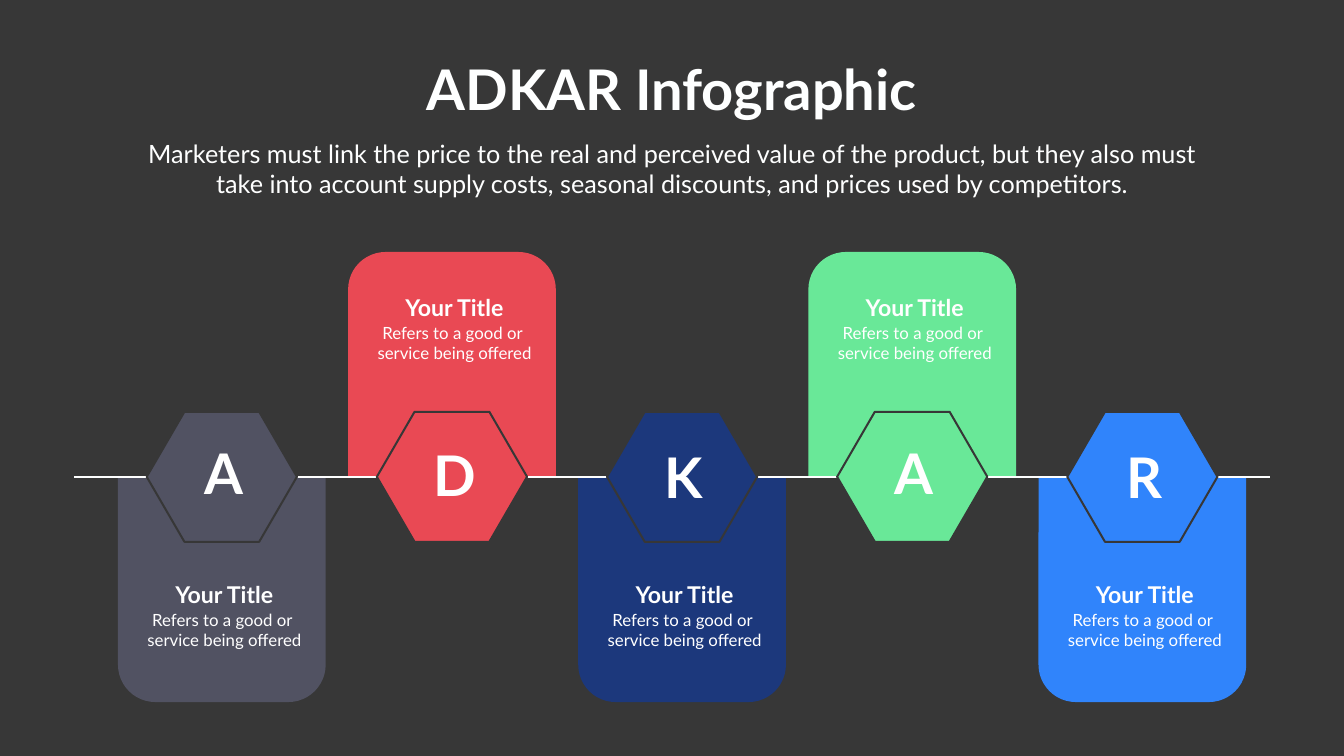
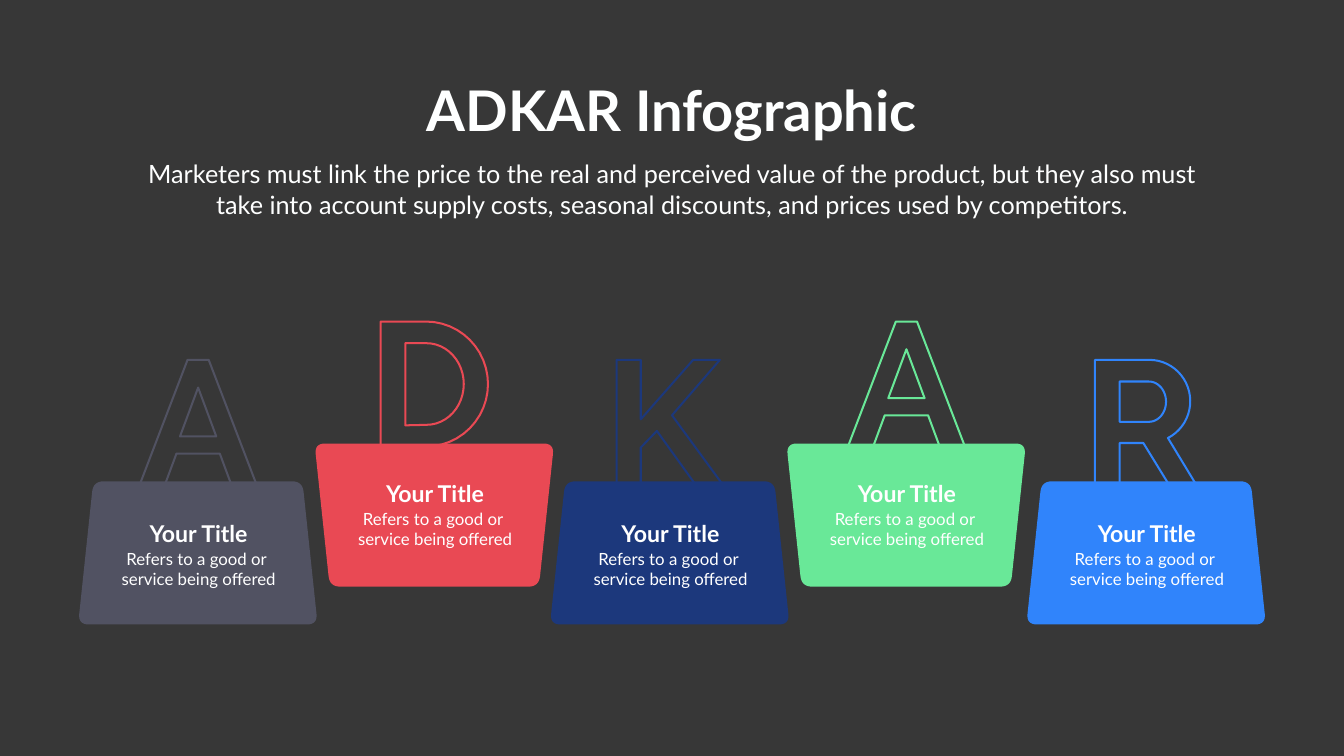
import math
import pptx
import pptx.dml.color
import pptx.enum.shapes
import pptx.enum.text
import pptx.oxml
import pptx.oxml.ns
import pptx.util

Inches = pptx.util.Inches
Pt = pptx.util.Pt
RGBColor = pptx.dml.color.RGBColor
Shape = pptx.enum.shapes.MSO_SHAPE

# Shared look
DARK = RGBColor(0x37, 0x37, 0x37)
PALE = RGBColor(0xFE, 0xFF, 0xFF)
WHITE = RGBColor(0xFF, 0xFF, 0xFF)
GREY = RGBColor(0x51, 0x52, 0x62)
RED = RGBColor(0xE9, 0x49, 0x54)
NAVY = RGBColor(0x1C, 0x38, 0x7C)
GREEN = RGBColor(0x69, 0xE8, 0x98)
BLUE = RGBColor(0x30, 0x84, 0xFB)
HUES = [GREY, RED, NAVY, GREEN, BLUE]
WORD = "ADKAR"
FONT = "Lato"
STROKE = Pt(2.89)
INTRO = ("Marketers must link the price to the real and perceived value of the "
         "product, but they also must take into account supply costs, seasonal "
         "discounts, and prices used by competitors.")


def write(slide, text, left, top, width, height, size, hue=WHITE, bold=False, wrap=True):
    box = slide.shapes.add_textbox(Inches(left), Inches(top), Inches(width), Inches(height))
    frame = box.text_frame
    frame.text = text
    frame.word_wrap = wrap
    frame.auto_size = pptx.enum.text.MSO_AUTO_SIZE.SHAPE_TO_FIT_TEXT
    for para in frame.paragraphs:
        para.alignment = pptx.enum.text.PP_ALIGN.CENTER
        for run in para.runs:
            run.font.name = FONT
            run.font.size = Pt(size)
            run.font.bold = bold
            run.font.color.rgb = hue


def trace(slide, steps, left, top):
    """A step is a corner (x, y) or a bowl (x, y, x radius, y radius, end angle)."""
    dots = []
    for x, y, *bowl in steps:
        if bowl:
            wide, tall, end = bowl
            for k in range(25):
                turn = math.radians(-90 + (end + 90) * k / 24)
                dots.append((x + wide * math.cos(turn), y + tall * math.sin(turn)))
        else:
            dots.append((x, y))
    dots = [(Inches(left + x), Inches(top + y)) for x, y in dots]
    pen = slide.shapes.build_freeform(*dots[0])
    pen.add_line_segments(dots[1:], close=True)
    shape = pen.convert_to_shape()
    shape.shadow.inherit = False
    return shape


deck = pptx.Presentation()
deck.slide_width = Inches(26.66)
deck.slide_height = Inches(15)
first, second = [deck.slides.add_slide(deck.slide_layouts[6]) for _ in range(2)]

# Slide 1: cards hanging from and standing on the line
STEP = 4.565
for i, hue in enumerate(HUES):
    high = i % 2 == 1
    card = first.shapes.add_shape(
        Shape.ROUND_2_SAME_RECTANGLE, Inches(2.34 + i * STEP),
        Inches(5 if high else 9.47), Inches(4.12), Inches(4.46))
    card.adjustments[0] = 0.18 if high else 0
    card.adjustments[1] = 0 if high else 0.18
    card.shadow.inherit = False
    card.fill.solid()
    card.fill.fore_color.rgb = hue
    card.line.fill.background()

# Slide 1: line
rail = first.shapes.add_connector(
    pptx.enum.shapes.MSO_CONNECTOR.STRAIGHT,
    Inches(1.47), Inches(9.47), Inches(25.19), Inches(9.47))
rail.line.color.rgb = PALE
rail.line.width = STROKE
rail._element.spPr.append(pptx.oxml.parse_xml(
    "<a:effectLst %s/>" % pptx.oxml.ns.nsdecls("a")))

# Slide 1: hexagons
for i, hue in enumerate(HUES):
    hexa = first.shapes.add_shape(
        Shape.HEXAGON, Inches(2.91 + i * STEP), Inches(8.17), Inches(2.98), Inches(2.58))
    hexa.adjustments[0] = 0.29
    hexa.shadow.inherit = False
    hexa.fill.solid()
    hexa.fill.fore_color.rgb = hue
    hexa.line.color.rgb = DARK
    hexa.line.width = STROKE

# Slide 1: letters on the hexagons
TOPS = {"A": 8.66, "D": 8.69, "K": 8.73, "R": 8.73}
for i, sign in enumerate(WORD):
    write(first, sign, 3.94 + i * STEP, TOPS[sign], 1, 1.45, 80, bold=True, wrap=False)

# Slide 2: outlined letters, drawn in inches; A is one half and its mirror
TALL = 2.48
half = [(0.95, 0), (0, TALL), (0.5, TALL), (0.73, 1.86)]
GLYPHS = {
    "A": [half + [(2.32 - x, y) for x, y in reversed(half)],
          [(1.16, 0.55), (0.8, 1.52), (1.52, 1.52)]],
    "D": [[(0, TALL), (0, 0), (0.9, 1.24, 1.23, 1.24, 90)],
          [(0.49, 2.06), (0.49, 0.43), (0.91, 1.24, 0.74, 0.81, 90)]],
    "K": [[(0, TALL), (0, 0), (0.48, 0), (0.48, 1.18), (1.52, 0), (2.05, 0), (1.1, 1.1),
           (2.11, TALL), (1.57, TALL), (0.8, 1.41), (0.48, 1.74), (0.48, TALL)]],
    "R": [[(0, TALL), (0, 0), (1.08, 0.82, 0.81, 0.82, 63), (2.01, TALL), (1.47, TALL),
           (0.96, 1.65), (0.49, 1.65), (0.49, TALL)],
          [(0.49, 1.23), (0.49, 0.43), (1.07, 0.83, 0.34, 0.4, 90)]],
}
for i, left in enumerate([2.77, 7.55, 12.23, 16.82, 21.72]):
    for loop in GLYPHS[WORD[i]]:
        stroke = trace(second, loop, left, 6.38 if i % 2 else 7.14)
        stroke.fill.background()
        stroke.line.color.rgb = HUES[i]
        stroke.line.width = STROKE

# Slide 2: plates with rounded corners, every second one upside down
DEEP = 2.84
ends = [(0, DEEP), (0.3, 0), (4.45, 0), (4.75, DEEP)]
edge = []
for k, spot in enumerate(ends):
    near = []
    for other in (ends[k - 1], ends[(k + 1) % 4]):
        part = 0.21 / math.dist(spot, other)
        near.append([a + (b - a) * part for a, b in zip(spot, other)])
    for n in range(9):
        t = n / 8
        edge.append([(1 - t) ** 2 * a + 2 * t * (1 - t) * b + t * t * c
                     for a, b, c in zip(near[0], spot, near[1])])
LEFTS = [1.55, 6.24, 10.91, 15.6, 20.36]
for i, left in enumerate(LEFTS):
    if i % 2:
        plate = trace(second, [(x, DEEP - y) for x, y in edge], left, 8.8)
    else:
        plate = trace(second, edge, left, 9.55)
    plate.fill.solid()
    plate.fill.fore_color.rgb = HUES[i]
    plate.line.fill.background()

# Both slides: background, heading and captions
hexed = [(3.3 + i * STEP, 5.77 if i % 2 else 11.46) for i in range(5)]
plated = [(left + 1.24, 9.46 if i % 2 else 10.25) for i, left in enumerate(LEFTS)]
for slide, head, spots in [(first, 1.03, hexed), (second, 1.44, plated)]:
    slide.background.fill.solid()
    slide.background.fill.fore_color.rgb = DARK
    write(slide, "ADKAR Infographic", 8.26, head, 10.14, 1.45, 80, PALE, True, False)
    write(slide, INTRO, 2.68, head + 1.66, 21.3, 1.31, 36, PALE)
    for left, top in spots:
        write(slide, "Your Title", left, top, 2.3, 0.66, 33, bold=True)
        write(slide, "Refers to a good or \nservice being offered",
              left - 0.61, top + 0.59, 3.52, 0.91, 24)

deck.save("out.pptx")
